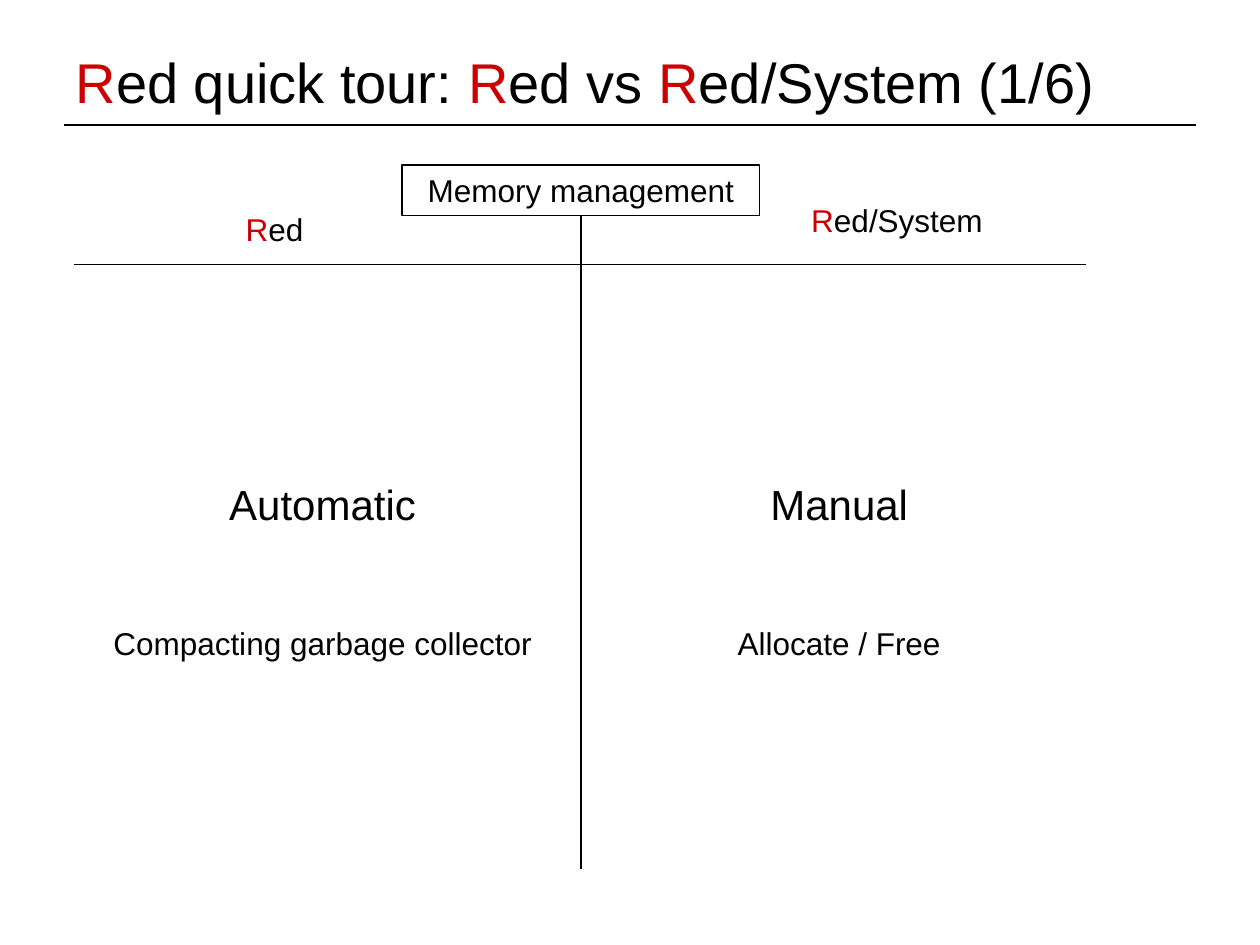
from lxml.etree import SubElement
from pptx import Presentation
from pptx.dml.color import RGBColor
from pptx.enum.shapes import MSO_CONNECTOR, MSO_SHAPE
from pptx.enum.text import MSO_ANCHOR, PP_ALIGN
from pptx.oxml.ns import qn
from pptx.util import Inches, Pt

BLACK = RGBColor(0x00, 0x00, 0x00)
WHITE = RGBColor(0xFF, 0xFF, 0xFF)
RED = RGBColor(0xCC, 0x00, 0x00)
FONT = "Arial"

# Comparison columns: left edge, summary, detail
COLUMNS = [
    (0.59, "Automatic", "Compacting garbage collector"),
    (4.69, "Manual", "Allocate / Free"),
]


def write(paragraph, text, size, align=PP_ALIGN.LEFT):
    """Fill a paragraph, colouring the R of every "Red"."""
    paragraph.alignment = align
    for index, part in enumerate(text.split("Red")):
        pieces = [("R", RED), ("ed" + part, BLACK)] if index else [(part, BLACK)]
        for piece, color in pieces:
            if piece:
                run = paragraph.add_run()
                run.text = piece
                run.font.name = FONT
                run.font.size = Pt(size)
                run.font.color.rgb = color


def add_rule(slide, start, end, width):
    rule = slide.shapes.add_connector(
        MSO_CONNECTOR.STRAIGHT, *map(Inches, start + end))
    rule.line.color.rgb = BLACK
    rule.line.width = Pt(width)
    SubElement(rule._element.spPr, qn("a:effectLst"))


def add_text(slide, left, top, width, height):
    frame = slide.shapes.add_textbox(
        *map(Inches, (left, top, width, height))).text_frame
    frame.word_wrap = True
    return frame


def add_title(slide, text):
    title = slide.shapes.title
    title.left, title.top = Inches(0.5), Inches(0.3)
    title.width, title.height = Inches(9), Inches(0.69)
    title.text_frame.vertical_anchor = MSO_ANCHOR.MIDDLE
    write(title.text_frame.paragraphs[0], text, 32)


def add_column(slide, left, summary, detail):
    frame = add_text(slide, left, 3.75, 3.94, 1.57)
    write(frame.paragraphs[0], summary, 24, PP_ALIGN.CENTER)
    detail_line = frame.add_paragraph()
    detail_line.space_before = Pt(54)
    write(detail_line, detail, 18, PP_ALIGN.CENTER)


def add_topic(slide, text):
    topic = slide.shapes.add_shape(
        MSO_SHAPE.RECTANGLE, *map(Inches, (3.19, 1.31, 2.84, 0.4)))
    topic.shadow.inherit = False
    topic.fill.solid()
    topic.fill.fore_color.rgb = WHITE
    topic.line.color.rgb = BLACK
    topic.line.width = Pt(0.75)
    topic.text_frame.vertical_anchor = MSO_ANCHOR.TOP
    write(topic.text_frame.paragraphs[0], text, 18, PP_ALIGN.CENTER)


def main():
    prs = Presentation()
    prs.slide_width, prs.slide_height = Inches(10), Inches(7.5)
    slide = prs.slides.add_slide(prs.slide_layouts[5])

    # Title and its underline
    add_title(slide, "Red quick tour: Red vs Red/System (1/6)")
    add_rule(slide, (9.49, 0.99), (0.51, 0.99), 1)

    # Divider, column headings and the rule below them
    add_rule(slide, (4.61, 1.55), (4.61, 6.9), 1.5)
    write(add_text(slide, 1.85, 1.62, 1.02, 0.4).paragraphs[0], "Red", 18)
    write(add_text(slide, 6.34, 1.55, 2.13, 0.4).paragraphs[0], "Red/System", 18)
    add_rule(slide, (0.59, 2.1), (8.62, 2.1), 0.75)

    # Comparison and topic
    for left, summary, detail in COLUMNS:
        add_column(slide, left, summary, detail)
    add_topic(slide, "Memory management")

    prs.save("out.pptx")


if __name__ == "__main__":
    main()
